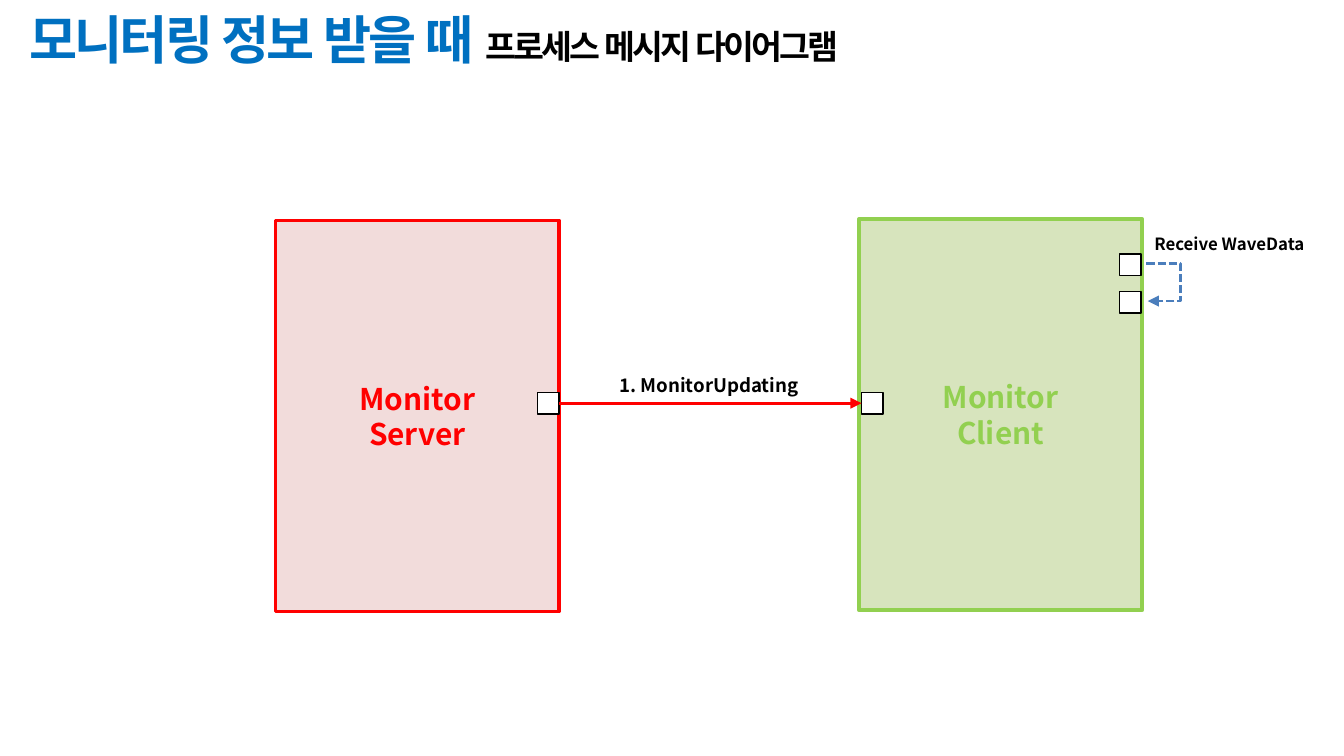
from lxml import etree
from pptx import Presentation
from pptx.dml.color import RGBColor
from pptx.enum.dml import MSO_LINE
from pptx.enum.shapes import MSO_CONNECTOR, MSO_SHAPE
from pptx.enum.text import MSO_ANCHOR, MSO_AUTO_SIZE, PP_ALIGN
from pptx.oxml.ns import qn
from pptx.util import Inches, Pt

RECTANGLE = MSO_SHAPE.RECTANGLE
STRAIGHT, ELBOW = MSO_CONNECTOR.STRAIGHT, MSO_CONNECTOR.ELBOW
LEFT, CENTER = PP_ALIGN.LEFT, PP_ALIGN.CENTER
MIDDLE = MSO_ANCHOR.MIDDLE
FIXED_SIZE, GROW = MSO_AUTO_SIZE.NONE, MSO_AUTO_SIZE.SHAPE_TO_FIT_TEXT
SQUARE_DOT = MSO_LINE.SQUARE_DOT
SIDE_LEFT, SIDE_RIGHT = 1, 3

FONT, TITLE_FONT = "Noto Sans CJK KR", "Arial"
COLORS = {
    "title": "0070C0", "text": "000000", "white": "FFFFFF",
    "server": "FF0000", "server_fill": "F2DCDB",
    "client": "92D050", "client_fill": "D7E4BD", "loop": "4B7EBC",
}
PROCESS_WIDTH, PROCESS_HEIGHT = 2.11, 2.91
PORT_SIZE = 0.16


def color(name):
    return RGBColor.from_string(COLORS[name])


def add_run(paragraph, text, size, color_name, font=FONT):
    run = paragraph.add_run()
    run.text = text
    run.font.name = font
    run.font.size = Pt(size)
    run.font.bold = True
    run.font.color.rgb = color(color_name)
    return run


def add_box(slide, left, top, width, height, fill, line, line_width):
    shape = slide.shapes.add_shape(
        RECTANGLE, Inches(left), Inches(top), Inches(width), Inches(height))
    shape.shadow.inherit = False
    shape.fill.solid()
    shape.fill.fore_color.rgb = color(fill)
    shape.line.color.rgb = color(line)
    shape.line.width = Pt(line_width)
    return shape


def add_port(slide, left, top):
    return add_box(slide, left, top, PORT_SIZE, PORT_SIZE, "white", "text", 0.75)


def add_label(slide, left, top, width, height, lines, size, color_name,
              alignment=CENTER, wrap=False):
    label = slide.shapes.add_textbox(
        Inches(left), Inches(top), Inches(width), Inches(height))
    frame = label.text_frame
    frame.word_wrap = wrap
    frame.auto_size = GROW
    for index, text in enumerate(lines):
        paragraph = frame.add_paragraph() if index else frame.paragraphs[0]
        paragraph.alignment = alignment
        add_run(paragraph, text, size, color_name)


def add_arrow(slide, kind, start, end, color_name):
    arrow = slide.shapes.add_connector(
        kind, *(Inches(value) for value in (*start, *end)))
    arrow.line.color.rgb = color(color_name)
    arrow.line.width = Pt(1.5)
    etree.SubElement(arrow.element.spPr, qn("a:effectLst"))
    return arrow


def add_arrowhead(arrow):
    line = arrow.element.spPr.find(qn("a:ln"))
    etree.SubElement(line, qn("a:tailEnd"), type="triangle")


def add_title(slide, left, top, width, height):
    title = slide.shapes.title
    title.left, title.top = Inches(left), Inches(top)
    title.width, title.height = Inches(width), Inches(height)
    frame = title.text_frame
    frame.auto_size = FIXED_SIZE
    frame.word_wrap = True
    frame.vertical_anchor = MIDDLE
    frame.margin_left = frame.margin_right = Inches(0.1)
    frame.margin_top, frame.margin_bottom = Inches(0.08), Inches(0.16)
    paragraph = frame.paragraphs[0]
    paragraph.alignment = LEFT
    for text, size, color_name in (
            ("모니터링 정보 받을 때 ", 28, "title"),
            ("프로세스 메시지 다이어그램", 18, "text")):
        run = add_run(paragraph, text, size, color_name, TITLE_FONT)
        # Tight letter spacing, and the same typeface for Korean
        properties = run.font._element
        properties.set("spc", "-150")
        etree.SubElement(properties, qn("a:ea"), typeface=TITLE_FONT)


def add_process(slide, left, top, name, color_name):
    add_box(slide, left, top, PROCESS_WIDTH, PROCESS_HEIGHT,
            color_name + "_fill", color_name, 2)
    width = 1.07
    add_label(slide, left + (PROCESS_WIDTH - width) / 2, top + 1.14, width, 0.64,
              ("Monitor", name), 16, color_name)


def add_message(slide, left, right, top):
    """Message between the ports at the facing edges of two processes."""
    sender = add_port(slide, left - PORT_SIZE, top)
    receiver = add_port(slide, right, top)
    middle = top + PORT_SIZE / 2
    arrow = add_arrow(slide, STRAIGHT, (left, middle), (right, middle), "server")
    arrow.begin_connect(sender, SIDE_RIGHT)
    arrow.end_connect(receiver, SIDE_LEFT)
    add_arrowhead(arrow)
    add_label(slide, left, top - 0.19, right - left - 0.02, 0.27,
              ("1. MonitorUpdating",), 10, "text", wrap=True)


def add_self_message(slide, left, top):
    """Dashed loop from one port down to the next."""
    gap, reach, width = 0.28, 0.26, 0.01
    for row in range(2):
        add_port(slide, left, top + row * gap)
    start = left + 0.2
    loop = add_arrow(slide, ELBOW, (start, top + 0.07),
                     (start + width, top + 0.07 + gap), "loop")
    loop.line.dash_style = SQUARE_DOT
    add_arrowhead(loop)
    # The bend lies outside the loop's end points
    guides = loop.element.spPr.find(qn("a:prstGeom")).find(qn("a:avLst"))
    etree.SubElement(guides, qn("a:gd"), name="adj1",
                     fmla=f"val {round(reach / width * 100000)}")
    add_label(slide, left + PORT_SIZE, top - 0.2, 1.32, 0.25,
              ("Receive WaveData",), 9, "text", LEFT)


def main():
    presentation = Presentation()
    # Widescreen, 16:9
    presentation.slide_width = Inches(10)
    presentation.slide_height = presentation.slide_width * 9 // 16
    slide = presentation.slides.add_slide(presentation.slide_layouts[5])

    add_title(slide, 0.12, 0.04, 9.76, 0.57)
    add_process(slide, 6.39, 1.63, "Client", "client")
    add_process(slide, 2.05, 1.64, "Server", "server")
    add_message(slide, 4.16, 6.41, 2.92)
    add_self_message(slide, 8.33, 1.89)

    presentation.save("out.pptx")


if __name__ == "__main__":
    main()
